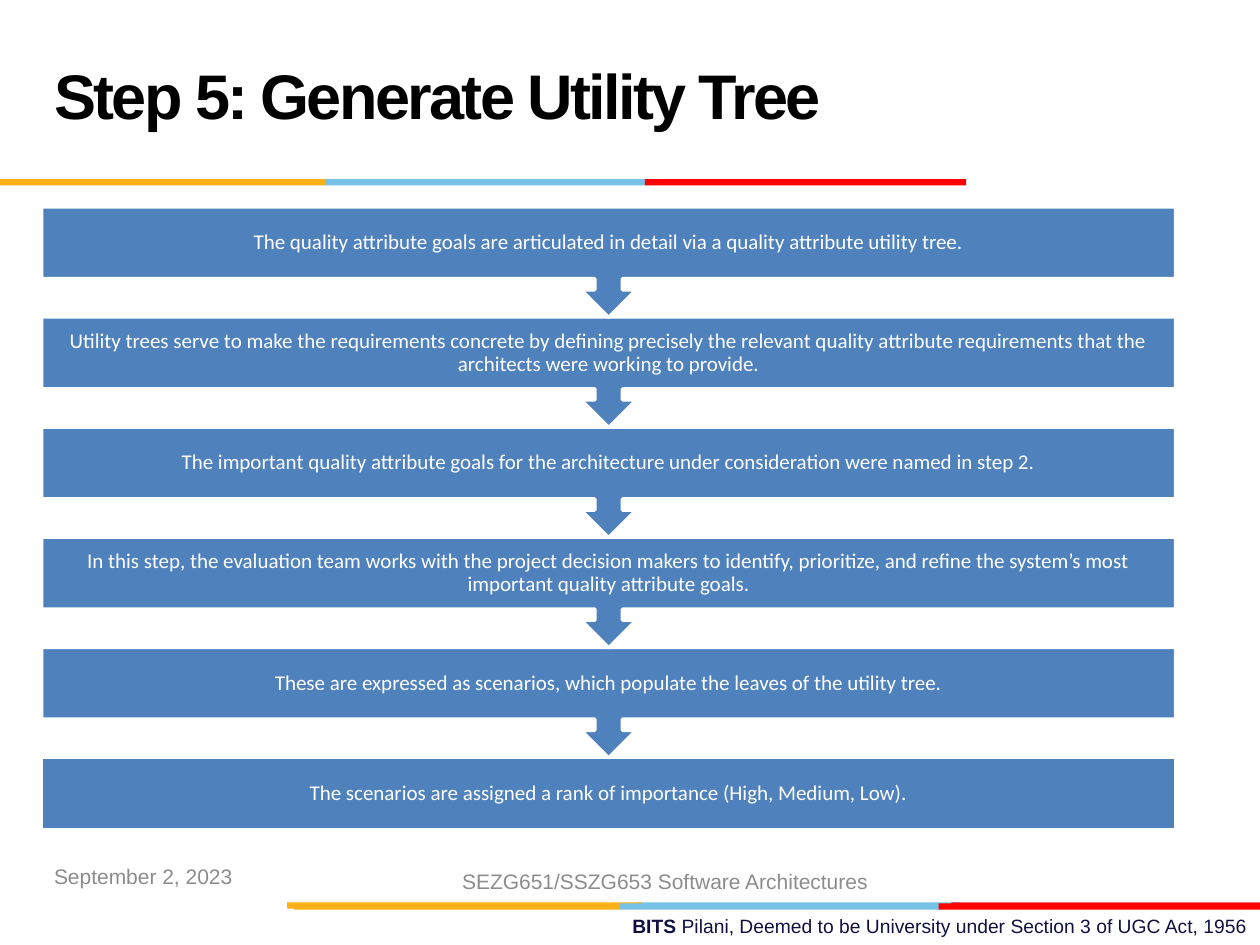
import pptx
import pptx.dml.color
import pptx.enum.shapes
import pptx.enum.text
import pptx.util
from pptx.util import Cm

SHAPES = pptx.enum.shapes.MSO_SHAPE
ALIGN = pptx.enum.text.PP_ALIGN
MIDDLE = pptx.enum.text.MSO_ANCHOR.MIDDLE

YELLOW, SKY, CRIMSON, RED = "FCB017", "76C2E5", "E31C24", "FF0000"
BLUE, WHITE, GREY, NAVY, BLACK = "4F81BD", "FFFFFF", "8C8C8C", "101141", "000000"

STRIPES = [
    (18.19, [(12.85, 6.48, SKY), (19.18, 6.22, CRIMSON), (5.79, 7.16, YELLOW)]),
    (18.21, [(12.5, 6.48, SKY), (5.92, 6.58, YELLOW), (18.92, 6.48, RED)]),
    (3.61, [(6.55, 6.46, SKY), (0, 6.55, YELLOW), (13.0, 6.48, RED)]),
]
STEPS = [
    "The quality attribute goals are articulated in detail via a quality attribute utility tree.",
    "Utility trees serve to make the requirements concrete by defining precisely the relevant "
    "quality attribute requirements that the architects were working to provide.",
    "The important quality attribute goals for the architecture under consideration "
    "were named in step 2.",
    "In this step, the evaluation team works with the project decision makers to identify, "
    "prioritize, and refine the system’s most important quality attribute goals.",
    "These are expressed as scenarios, which populate the leaves of the utility tree.",
    "The scenarios are assigned a rank of importance (High, Medium, Low).",
]
STEP_LEFT, STEP_TOP, STEP_WIDTH = 0.84, 4.17, 22.86
STEP_PITCH, BOX_HEIGHT, CALLOUT_HEIGHT = 2.22, 1.45, 2.23


def color(value):
    """Return the RGB colour for a hex string."""
    return pptx.dml.color.RGBColor.from_string(value)


def apply_format(target, values):
    """Set every attribute in a dict of format values."""
    for name, value in values.items():
        setattr(target, name, value)


def write_runs(shape, runs, size, font_name, font_color, frame_format, paragraph_format):
    """Fill a shape with one paragraph of (text, bold) runs."""
    apply_format(shape.text_frame, {"word_wrap": True, **frame_format})
    paragraph = shape.text_frame.paragraphs[0]
    apply_format(paragraph, paragraph_format)
    for text, bold in runs:
        run = paragraph.add_run()
        run.text = text
        apply_format(run.font, {"size": pptx.util.Pt(size), "name": font_name, "bold": bold})
        run.font.color.rgb = color(font_color)
    return paragraph


def add_block(slide, kind, place, fill, line=None):
    """Add a plain filled shape, with an outline if a line colour is given."""
    shape = slide.shapes.add_shape(kind, *map(Cm, place))
    shape.shadow.inherit = False
    shape.fill.solid()
    shape.fill.fore_color.rgb = color(fill)
    if line:
        shape.line.color.rgb = color(line)
        shape.line.width = pptx.util.Pt(2)
    else:
        shape.line.fill.background()
    return shape


def add_label(slide, place, runs, size, font_name, font_color, frame_format, paragraph_format):
    """Add a wrapped text box."""
    box = slide.shapes.add_textbox(*map(Cm, place))
    write_runs(box, runs, size, font_name, font_color, frame_format, paragraph_format)


def add_title(slide, text):
    """Place and format the title placeholder."""
    title = slide.shapes.title
    place = {"left": Cm(0.84), "top": Cm(0.43), "width": Cm(17.58), "height": Cm(3.18)}
    apply_format(title, place)
    frame_format = {
        "vertical_anchor": MIDDLE,
        "auto_size": pptx.enum.text.MSO_AUTO_SIZE.NONE,
    }
    paragraph_format = {"alignment": ALIGN.LEFT, "line_spacing": pptx.util.Pt(36)}
    paragraph = write_runs(
        title, [(text, True)], 36, "Arial", BLACK, frame_format, paragraph_format
    )
    paragraph.runs[0]._r.get_or_add_rPr().set("spc", "-150")


def add_stripes(slide):
    """Add the three-coloured rules."""
    for top, bars in STRIPES:
        for left, width, fill in bars:
            add_block(slide, SHAPES.RECTANGLE, (left, top, width, 0.13), fill)


def add_step(slide, index, text, is_last):
    """Add one step box, pointing down unless it is the last."""
    top = STEP_TOP + index * STEP_PITCH
    place = (STEP_LEFT, top, STEP_WIDTH)
    if is_last:
        add_block(slide, SHAPES.RECTANGLE, (*place, BOX_HEIGHT), BLUE, WHITE)
    else:
        callout = add_block(
            slide, SHAPES.UP_ARROW_CALLOUT, (*place, CALLOUT_HEIGHT), BLUE, WHITE
        )
        callout.rotation = 180
    sides = ("left", "right", "top", "bottom")
    frame_format = {f"margin_{side}": Cm(0.23) for side in sides}
    frame_format["vertical_anchor"] = MIDDLE
    paragraph_format = {"alignment": ALIGN.CENTER, "line_spacing": 0.9}
    add_label(slide, (*place, BOX_HEIGHT), [(text, False)], 12, "Calibri", WHITE,
              frame_format, paragraph_format)


def add_footer(slide):
    """Add the date, course and institution labels."""
    middle = {"vertical_anchor": MIDDLE}
    add_label(slide, (0.84, 17.15, 5.92, 1.02), [("September 2, 2023", False)],
              12, "Arial", GREY, middle, {"alignment": ALIGN.LEFT})
    add_label(slide, (8.84, 17.25, 9.14, 1.02),
              [("SEZG651/SSZG653 Software Architectures", False)],
              12, "Arial", GREY, middle, {"alignment": ALIGN.CENTER})
    institution = [
        ("BITS ", True),
        ("Pilani, Deemed to be University under Section 3 of UGC Act, 1956", False),
    ]
    add_label(slide, (9.09, 18.31, 16.31, 0.74), institution,
              11, "Arial", NAVY, {}, {"alignment": ALIGN.RIGHT})


def main():
    """Build and save the slide."""
    presentation = pptx.Presentation()
    apply_format(presentation, {"slide_width": Cm(25.4), "slide_height": Cm(19.05)})
    slide = presentation.slides.add_slide(presentation.slide_layouts[5])
    add_stripes(slide)
    for index, text in reversed(list(enumerate(STEPS))):
        add_step(slide, index, text, index == len(STEPS) - 1)
    add_title(slide, "Step 5: Generate Utility Tree")
    add_footer(slide)
    presentation.save("out.pptx")


if __name__ == "__main__":
    main()
